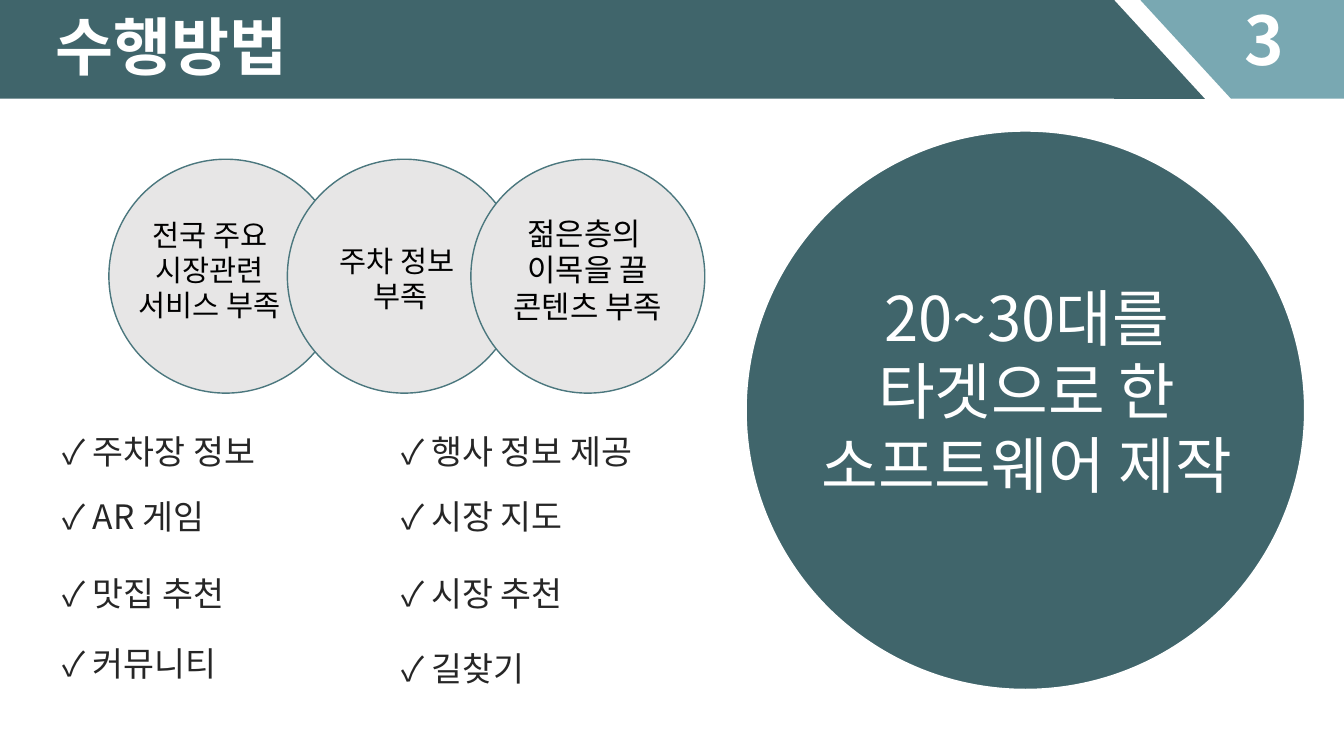
from dataclasses import dataclass

from pptx import Presentation
from pptx.dml.color import RGBColor
from pptx.enum.shapes import MSO_SHAPE
from pptx.enum.text import MSO_ANCHOR, PP_ALIGN
from pptx.shapes.autoshape import Shape
from pptx.slide import Slide
from pptx.util import Inches, Pt

RECTANGLE, TRIANGLE, OVAL = MSO_SHAPE.RECTANGLE, MSO_SHAPE.ISOSCELES_TRIANGLE, MSO_SHAPE.OVAL
LEFT, CENTER = PP_ALIGN.LEFT, PP_ALIGN.CENTER
MIDDLE = MSO_ANCHOR.MIDDLE

FONT = "Noto Sans CJK KR"
LINE_HEIGHT = 1.19
TEAL = RGBColor(0x40, 0x65, 0x6B)
LIGHT_TEAL = RGBColor(0x79, 0xA8, 0xB2)
OUTLINE = RGBColor(0x4B, 0x77, 0x7E)
GREY = RGBColor(0xE7, 0xE6, 0xE6)
WHITE = RGBColor(0xFF, 0xFF, 0xFF)
BLACK = RGBColor(0, 0, 0)
DARK = RGBColor(0x26, 0x26, 0x26)

BANNER_HEIGHT = 0.98
SLANT_WIDTH = 0.9
PROBLEM_TOP = 1.58
PROBLEM_DIAMETER = 2.32


@dataclass(frozen=True)
class Box:
    left: float
    top: float
    width: float
    height: float

    def lengths(self) -> tuple[int, int, int, int]:
        return Inches(self.left), Inches(self.top), Inches(self.width), Inches(self.height)


@dataclass(frozen=True)
class TextStyle:
    size: int
    color: RGBColor
    align: PP_ALIGN = CENTER
    bold: bool = False


@dataclass(frozen=True)
class Problem:
    circle_left: float
    text_box: Box
    lines: list[str]
    size: int


@dataclass(frozen=True)
class FeatureColumn:
    left: float
    width: float
    last_top: float
    features: list[str]


PROBLEMS = [
    Problem(1.08, Box(1.19, 2.1, 1.78, 1.15), ["전국 주요", " 시장관련 ", "서비스 부족"], 21),
    Problem(2.85, Box(2.97, 2.36, 2, 0.8), ["주차 정보 ", "부족"], 21),
    Problem(4.67, Box(4.86, 2.07, 1.94, 1.21), ["젊은층의 ", "이목을 끌 콘텐츠 부족"], 22),
]
FEATURE_TOPS = [4.23, 4.88, 5.64]
FEATURE_COLUMNS = [
    FeatureColumn(0.52, 2.62, 6.33, ["주차장 정보", "AR 게임", "맛집 추천", "커뮤니티"]),
    FeatureColumn(3.88, 2.97, 6.38, ["행사 정보 제공", "시장 지도", "시장 추천", "길찾기"]),
]


def add_filled_shape(slide: Slide, kind: MSO_SHAPE, box: Box, fill: RGBColor,
                     line: RGBColor | None = None) -> Shape:
    shape = slide.shapes.add_shape(kind, *box.lengths())
    shape.shadow.inherit = False
    shape.fill.solid()
    shape.fill.fore_color.rgb = fill
    if line is None:
        shape.line.fill.background()
    else:
        shape.line.color.rgb = line
        shape.line.width = Pt(1)
    return shape


def add_text(slide: Slide, box: Box, lines: list[str], style: TextStyle,
             wrap: bool = True) -> None:
    frame = slide.shapes.add_textbox(*box.lengths()).text_frame
    frame.word_wrap = wrap
    frame.vertical_anchor = MIDDLE
    for index, line in enumerate(lines):
        paragraph = frame.add_paragraph() if index else frame.paragraphs[0]
        paragraph.alignment = style.align
        paragraph.line_spacing = Pt(round(style.size * LINE_HEIGHT, 1))
        run = paragraph.add_run()
        run.text = line
        run.font.name = FONT
        run.font.size = Pt(style.size)
        run.font.bold = style.bold
        run.font.color.rgb = style.color


def add_slanted_triangle(slide: Slide, left: float, fill: RGBColor) -> Shape:
    triangle = add_filled_shape(slide, TRIANGLE, Box(left, 0, SLANT_WIDTH, BANNER_HEIGHT), fill)
    triangle.adjustments[0] = 0
    return triangle


def add_banner(slide: Slide) -> None:
    add_slanted_triangle(slide, 11.05, TEAL)
    add_filled_shape(slide, RECTANGLE, Box(0, 0, 11.05, BANNER_HEIGHT), TEAL)
    add_filled_shape(slide, RECTANGLE, Box(12.21, 0, 1.12, BANNER_HEIGHT), LIGHT_TEAL)
    add_slanted_triangle(slide, 11.31, LIGHT_TEAL).rotation = 180
    add_text(slide, Box(12.24, -0.07, 0.57, 0.91), ["3"], TextStyle(48, WHITE, bold=True))
    add_text(slide, Box(0.31, 0.03, 2.82, 0.84), [" 수행방법"],
             TextStyle(45, WHITE, LEFT, True), wrap=False)


def add_problems(slide: Slide) -> None:
    for problem in PROBLEMS:
        circle = Box(problem.circle_left, PROBLEM_TOP, PROBLEM_DIAMETER, PROBLEM_DIAMETER)
        add_filled_shape(slide, OVAL, circle, GREY, OUTLINE)
        add_text(slide, problem.text_box, problem.lines, TextStyle(problem.size, BLACK))


def add_goal(slide: Slide) -> None:
    add_filled_shape(slide, OVAL, Box(7.4, 1.3, 5.54, 5.54), TEAL, WHITE)
    add_text(slide, Box(7.56, 2.73, 5.25, 2.29),
             ["20~30대를", "타겟으로 한", "소프트웨어 제작"], TextStyle(44, WHITE))


def add_features(slide: Slide) -> None:
    style = TextStyle(24, DARK, LEFT)
    for column in FEATURE_COLUMNS:
        for top, feature in zip([*FEATURE_TOPS, column.last_top], column.features):
            add_text(slide, Box(column.left, top, column.width, 0.49), [f"✓ {feature}"], style)


def main() -> None:
    presentation = Presentation()
    presentation.slide_width = Inches(13.33)
    presentation.slide_height = Inches(7.5)
    slide = presentation.slides.add_slide(presentation.slide_layouts[6])
    add_banner(slide)
    add_problems(slide)
    add_goal(slide)
    add_features(slide)
    presentation.save("out.pptx")


if __name__ == "__main__":
    main()
